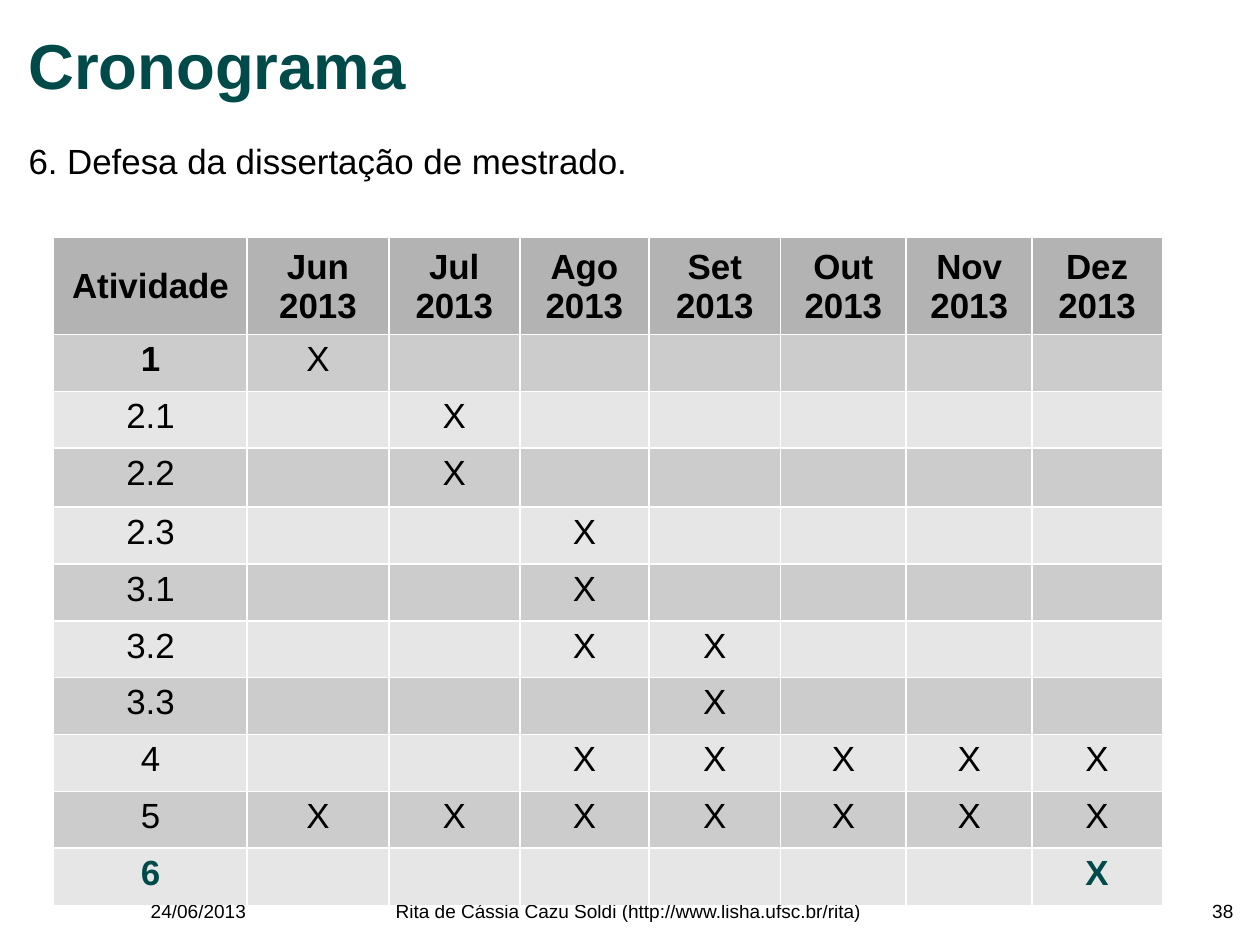
from dataclasses import dataclass

from lxml import etree
from pptx import Presentation
from pptx.dml.color import RGBColor as Rgb
from pptx.enum.text import MSO_ANCHOR as Anchor, PP_ALIGN as Align
from pptx.oxml.ns import qn
from pptx.util import Pt


@dataclass(frozen=True)
class Theme:
    font: str = "Arial"
    ink: str = "000000"
    accent: str = "004A4A"
    header_fill: str = "B3B3B3"
    band_fills: tuple = ("CCCCCC", "E6E6E6")
    rule: str = "FFFFFF"
    rule_width: float = 1.19
    title_size: int = 40
    body_size: int = 22
    footer_size: int = 12


THEME = Theme()
SLIDE_SIZE = (793.75, 595.25)

MONTHS = ("Jun", "Jul", "Ago", "Set", "Out", "Nov", "Dez")
ACTIVITY_MONTHS = {
    "1": ("Jun",),
    "2.1": ("Jul",),
    "2.2": ("Jul",),
    "2.3": ("Ago",),
    "3.1": ("Ago",),
    "3.2": ("Ago", "Set"),
    "3.3": ("Set",),
    "4": ("Ago", "Set", "Out", "Nov", "Dez"),
    "5": MONTHS,
    "6": ("Dez",),
}
CURRENT_ACTIVITY = "6"
COLUMN_WIDTHS = (121.68, 89.28, 82.5, 81.5, 82.8, 79.2, 79.4, 81.6)
HEADER_HEIGHT = 60.5
ROW_HEIGHT = 35.85
TALL_ROWS = {"2.2": 37}


def write_text(frame, text, size=THEME.body_size, color=THEME.ink, bold=False,
               align=Align.LEFT, spacing=None):
    """Fill a text frame with one paragraph per line of text."""
    for index, line in enumerate(text.split("\n")):
        paragraph = frame.add_paragraph() if index else frame.paragraphs[0]
        paragraph.alignment = align
        if spacing:
            paragraph.line_spacing = spacing
        run = paragraph.add_run()
        run.text = line
        run.font.name = THEME.font
        run.font.size = Pt(size)
        run.font.bold = bold
        run.font.color.rgb = Rgb.from_string(color)


def add_text(slide, box, text, anchor=Anchor.TOP, **text_format):
    frame = slide.shapes.add_textbox(*map(Pt, box)).text_frame
    frame.word_wrap = True
    frame.vertical_anchor = anchor
    frame.margin_left = frame.margin_right = 0
    frame.margin_top = frame.margin_bottom = 0
    write_text(frame, text, **text_format)


def add_heading(slide, box):
    left, top, width, height = box
    add_text(slide, (left, top, 666, 54), "Cronograma", anchor=Anchor.MIDDLE,
             size=THEME.title_size, color=THEME.accent, bold=True, spacing=0.8)
    add_text(slide, (left, top + 70, width, height - 70),
             "6. Defesa da dissertação de mestrado.")


def add_footer(slide, box):
    left, top, width, height = box
    side = 210
    parts = (
        (left, side, "24/06/2013", Align.CENTER),
        (left + width - side, side, "38", Align.RIGHT),
        (left + 160, 432,
         "Rita de Cássia Cazu Soldi (http://www.lisha.ufsc.br/rita)", Align.CENTER),
    )
    for part_left, part_width, text, align in parts:
        add_text(slide, (part_left, top, part_width, height), text,
                 size=THEME.footer_size, align=align)


def style_cell(cell, fill, row, column):
    """Set fill, margins and rules; the outer edges of the table stay bare."""
    cell.fill.solid()
    cell.fill.fore_color.rgb = Rgb.from_string(fill)
    cell.margin_left = cell.margin_right = Pt(2.9)
    cell.margin_top = cell.margin_bottom = Pt(3.6)
    inner_edges = {
        "a:lnL": column > 0,
        "a:lnR": column < len(MONTHS),
        "a:lnT": row > 0,
        "a:lnB": row < len(ACTIVITY_MONTHS),
    }
    properties = cell._tc.get_or_add_tcPr()
    for position, (edge, inner) in enumerate(inner_edges.items()):
        line = etree.Element(qn(edge), w=str(Pt(THEME.rule_width)))
        paint = etree.SubElement(line, qn("a:solidFill" if inner else "a:noFill"))
        if inner:
            etree.SubElement(paint, qn("a:srgbClr"), val=THEME.rule)
        properties.insert(position, line)


def add_schedule(slide, box):
    table = slide.shapes.add_table(len(ACTIVITY_MONTHS) + 1, len(MONTHS) + 1,
                                   *map(Pt, box)).table
    table.horz_banding = False
    for column, width in zip(table.columns, COLUMN_WIDTHS):
        column.width = Pt(width)

    table.rows[0].height = Pt(HEADER_HEIGHT)
    headings = ["Atividade"] + [f"{month}\n2013" for month in MONTHS]
    for column, (cell, heading) in enumerate(zip(table.rows[0].cells, headings)):
        style_cell(cell, THEME.header_fill, 0, column)
        cell.vertical_anchor = Anchor.MIDDLE
        write_text(cell.text_frame, heading, bold=True, align=Align.CENTER)

    for index, (activity, active) in enumerate(ACTIVITY_MONTHS.items()):
        row = table.rows[index + 1]
        row.height = Pt(TALL_ROWS.get(activity, ROW_HEIGHT))
        current = activity == CURRENT_ACTIVITY
        marks = [activity] + ["X" if month in active else "" for month in MONTHS]
        for column, (cell, mark) in enumerate(zip(row.cells, marks)):
            style_cell(cell, THEME.band_fills[index % 2], index + 1, column)
            if mark:
                write_text(cell.text_frame, mark, align=Align.CENTER,
                           bold=current or (index == 0 and column == 0),
                           color=THEME.accent if current else THEME.ink)


def main():
    deck = Presentation()
    deck.slide_width, deck.slide_height = map(Pt, SLIDE_SIZE)
    slide = deck.slides.add_slide(deck.slide_layouts[6])
    add_footer(slide, (20, 566.6, 757, 15))
    add_heading(slide, (18, 18, 756, 123))
    table_height = HEADER_HEIGHT + sum(
        TALL_ROWS.get(activity, ROW_HEIGHT) for activity in ACTIVITY_MONTHS)
    add_schedule(slide, (34, 150.2, sum(COLUMN_WIDTHS), table_height))
    deck.save("out.pptx")


if __name__ == "__main__":
    main()
